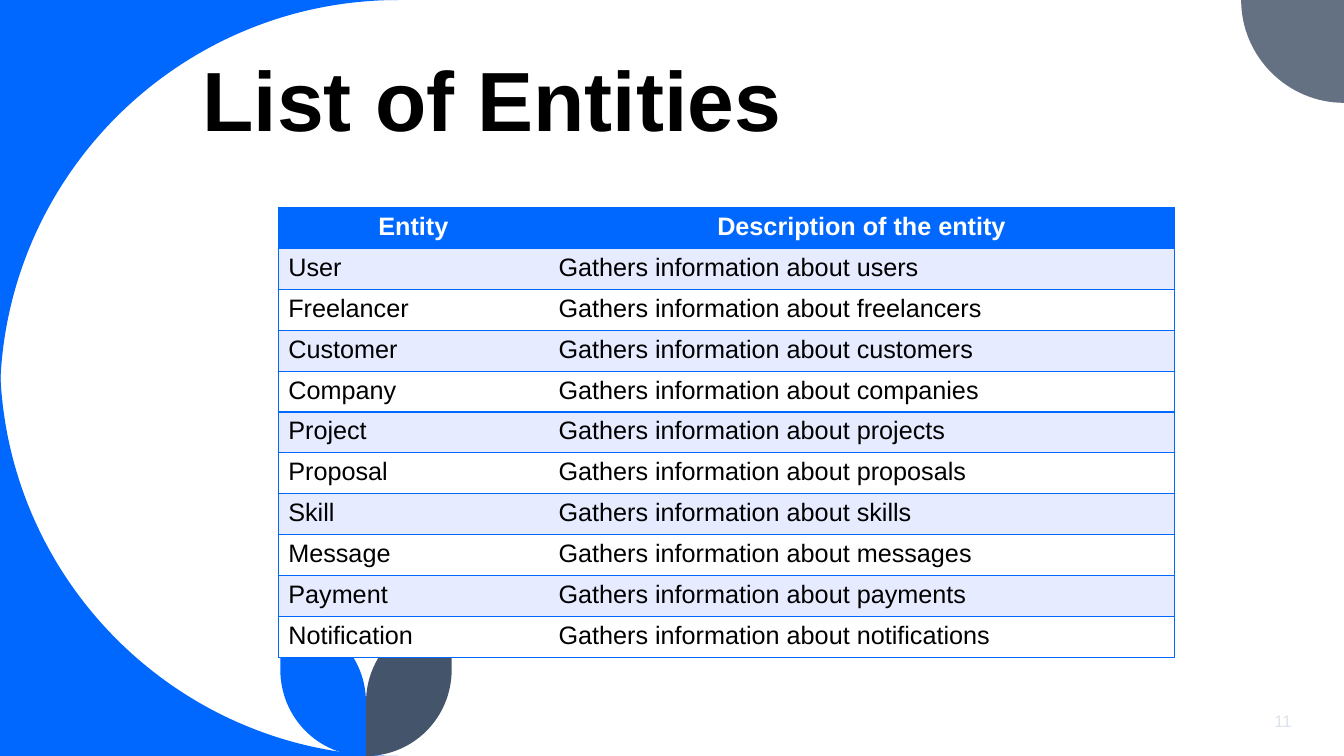
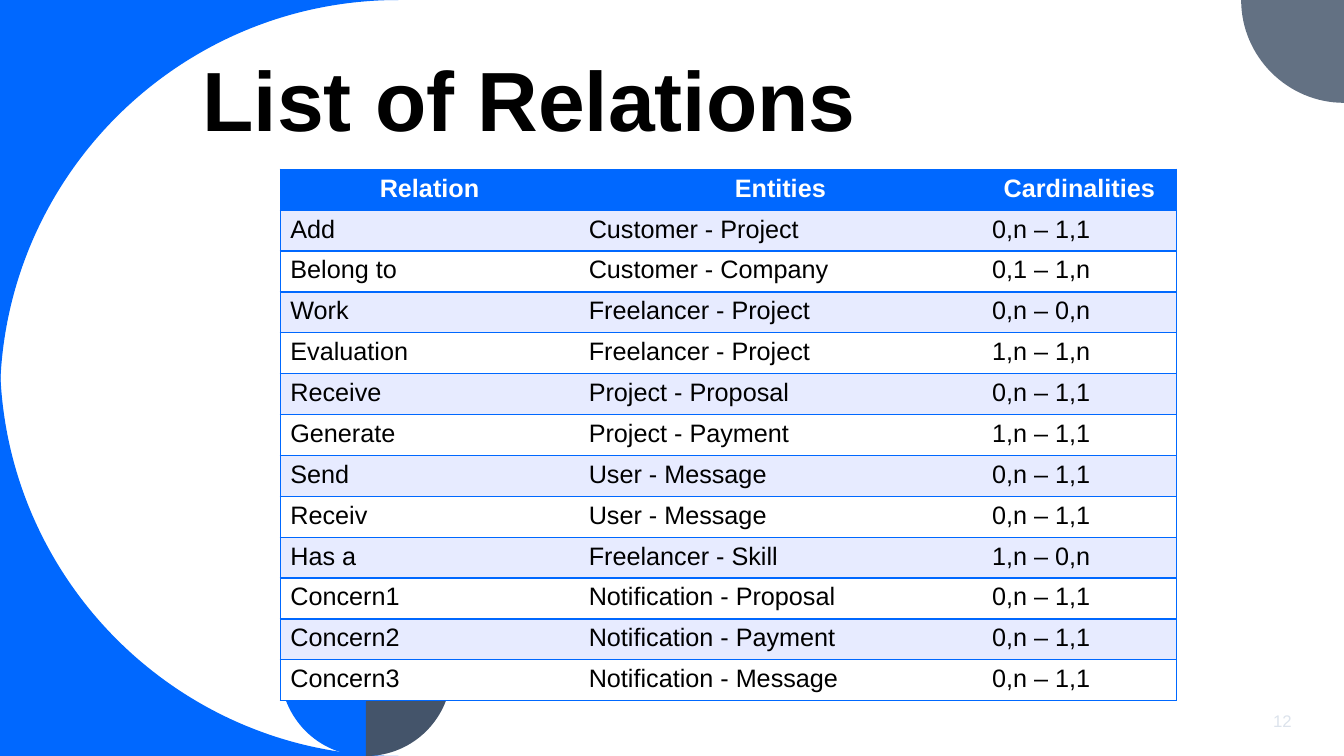
from lxml.etree import SubElement
from pptx import Presentation
from pptx.dml.color import RGBColor
from pptx.enum.text import MSO_ANCHOR, PP_ALIGN
from pptx.oxml.ns import qn
from pptx.util import Inches, Pt

BLUE = RGBColor(0x00, 0x68, 0xFF)
GREY = RGBColor(0x63, 0x71, 0x83)
SLATE = RGBColor(0x44, 0x54, 0x6A)
PALE_BLUE = RGBColor(0xE7, 0xEB, 0xFF)
PALE_GREY = RGBColor(0xDC, 0xE3, 0xEC)
WHITE = RGBColor(0xFF, 0xFF, 0xFF)
BLACK = RGBColor(0x00, 0x00, 0x00)
FONT = "Arial"

WIDTH, HEIGHT = 13.33, 7.5
ROW_HEIGHT = Pt(29.2)

SLIDES = [
    {
        "title": "List of Entities",
        "number": "11",
        "table_at": (2.76, 2.06),
        "columns": [2.68, 6.21],
        "rows": [
            ("Entity", "Description of the entity"),
            ("User", "Gathers information about users"),
            ("Freelancer", "Gathers information about freelancers"),
            ("Customer", "Gathers information about customers"),
            ("Company", "Gathers information about companies"),
            ("Project", "Gathers information about projects"),
            ("Proposal", "Gathers information about proposals"),
            ("Skill", "Gathers information about skills"),
            ("Message", "Gathers information about messages"),
            ("Payment", "Gathers information about payments"),
            ("Notification", "Gathers information about notifications"),
        ],
    },
    {
        "title": "List of Relations",
        "number": "12",
        "table_at": (2.78, 1.68),
        "columns": [2.96, 4, 1.93],
        "rows": [
            ("Relation", "Entities", "Cardinalities"),
            ("Add", "Customer - Project", "0,n – 1,1"),
            ("Belong to", "Customer - Company", "0,1 – 1,n"),
            ("Work", "Freelancer - Project", "0,n – 0,n"),
            ("Evaluation", "Freelancer - Project", "1,n – 1,n"),
            ("Receive", "Project - Proposal", "0,n – 1,1"),
            ("Generate", "Project - Payment", "1,n – 1,1"),
            ("Send", "User - Message", "0,n – 1,1"),
            ("Receiv", "User - Message", "0,n – 1,1"),
            ("Has a", "Freelancer - Skill", "1,n – 0,n"),
            ("Concern1", "Notification - Proposal", "0,n – 1,1"),
            ("Concern2", "Notification - Payment", "0,n – 1,1"),
            ("Concern3", "Notification - Message", "0,n – 1,1"),
        ],
    },
]

# Each outline is a list of steps: one point for a line, three for a curve.
BIG, SMALL = 3.95, 1.02
LEAF_AXIS = 3.63
TOP_CORNER = [[(0, 0)], [(BIG, 0)], [(1.77, 0), (0, 1.77), (0, BIG)]]
BOTTOM_CORNER = [[(x, HEIGHT - y) for x, y in step] for step in TOP_CORNER]
RIGHT_CORNER = [
    [(WIDTH, 0)],
    [(WIDTH - SMALL, 0)],
    [(WIDTH - SMALL, 0.56), (12.77, SMALL), (WIDTH, SMALL)],
]
LEFT_LEAF = [
    [(2.78, 6.11)],
    [(2.78, 6.64)],
    [(2.78, 7.12), (3.16, HEIGHT), (LEAF_AXIS, HEIGHT)],
    [(LEAF_AXIS, 6.97)],
    [(LEAF_AXIS, 6.53), (3.3, 6.16), (2.86, 6.12)],
]
RIGHT_LEAF = [[(2 * LEAF_AXIS - x, y) for x, y in step] for step in LEFT_LEAF]

DECORATIONS = [
    (TOP_CORNER, BLUE),
    (BOTTOM_CORNER, BLUE),
    (RIGHT_CORNER, GREY),
    (LEFT_LEAF, BLUE),
    (RIGHT_LEAF, SLATE),
]


def add_outline(slide, steps, color):
    """Build the outline from all points, then merge each triple into a curve."""
    points = [(Inches(x), Inches(y)) for step in steps for x, y in step]
    builder = slide.shapes.build_freeform(*points[0])
    builder.add_line_segments(points[1:], close=True)
    shape = builder.convert_to_shape()
    segments = iter(list(shape._element.iter(qn("a:lnTo"))))
    for step in steps[1:]:
        first, *others = [next(segments) for _ in step]
        if others:
            first.tag = qn("a:cubicBezTo")
            for segment in others:
                first.append(segment[0])
                segment.getparent().remove(segment)
    shape.shadow.inherit = False
    shape.fill.solid()
    shape.fill.fore_color.rgb = color
    shape.line.fill.background()


def write(text_frame, text, size=18, color=BLACK, bold=False,
          align=PP_ALIGN.LEFT, line_spacing=None):
    paragraph = text_frame.paragraphs[0]
    paragraph.alignment = align
    paragraph.line_spacing = line_spacing
    run = paragraph.add_run()
    run.text = text
    run.font.name = FONT
    run.font.size = Pt(size)
    run.font.bold = bold
    run.font.color.rgb = color


def add_text(slide, text, left, top, width, height, anchor, **text_format):
    text_frame = slide.shapes.add_textbox(
        Inches(left), Inches(top), Inches(width), Inches(height)
    ).text_frame
    text_frame.word_wrap = True
    text_frame.vertical_anchor = anchor
    write(text_frame, text, **text_format)


def set_borders(cell, visible_sides):
    """Draw blue lines on the given sides (L, R, T, B) and none on the others."""
    properties = cell._tc.get_or_add_tcPr()
    for side in "LRTB":
        line = SubElement(properties, qn(f"a:ln{side}"), w=str(Pt(1)))
        if side in visible_sides:
            fill = SubElement(line, qn("a:solidFill"))
            SubElement(fill, qn("a:srgbClr"), val=str(BLUE))
        else:
            SubElement(line, qn("a:noFill"))


def add_grid(slide, rows, columns, left, top):
    table = slide.shapes.add_table(
        len(rows), len(columns), Inches(left), Inches(top),
        Inches(sum(columns)), ROW_HEIGHT * len(rows)
    ).table
    table.horz_banding = False
    for column, width in zip(table.columns, columns):
        column.width = Inches(width)
    for row_index, values in enumerate(rows):
        table.rows[row_index].height = ROW_HEIGHT
        header = row_index == 0
        fill = BLUE if header else PALE_BLUE if row_index % 2 else WHITE
        for column_index, value in enumerate(values):
            cell = table.cell(row_index, column_index)
            sides = "TB"
            if column_index == 0:
                sides += "L"
            if column_index == len(columns) - 1:
                sides += "R"
            set_borders(cell, sides)
            cell.fill.solid()
            cell.fill.fore_color.rgb = fill
            write(cell.text_frame, value, bold=header,
                  color=WHITE if header else BLACK,
                  align=PP_ALIGN.CENTER if header else PP_ALIGN.LEFT)


def add_content_slide(presentation, content):
    slide = presentation.slides.add_slide(presentation.slide_layouts[6])
    for steps, color in DECORATIONS:
        add_outline(slide, steps, color)
    add_grid(slide, content["rows"], content["columns"], *content["table_at"])
    add_text(slide, content["title"], 1.91, 0.54, 9.52, 0.97, MSO_ANCHOR.BOTTOM,
             size=60, bold=True, line_spacing=0.8)
    add_text(slide, content["number"], 11.91, 6.95, 1, 0.4, MSO_ANCHOR.MIDDLE,
             size=12, color=PALE_GREY, align=PP_ALIGN.RIGHT)


def main():
    presentation = Presentation()
    presentation.slide_width = Inches(WIDTH)
    presentation.slide_height = Inches(HEIGHT)
    for content in SLIDES:
        add_content_slide(presentation, content)
    presentation.save("out.pptx")


if __name__ == "__main__":
    main()
